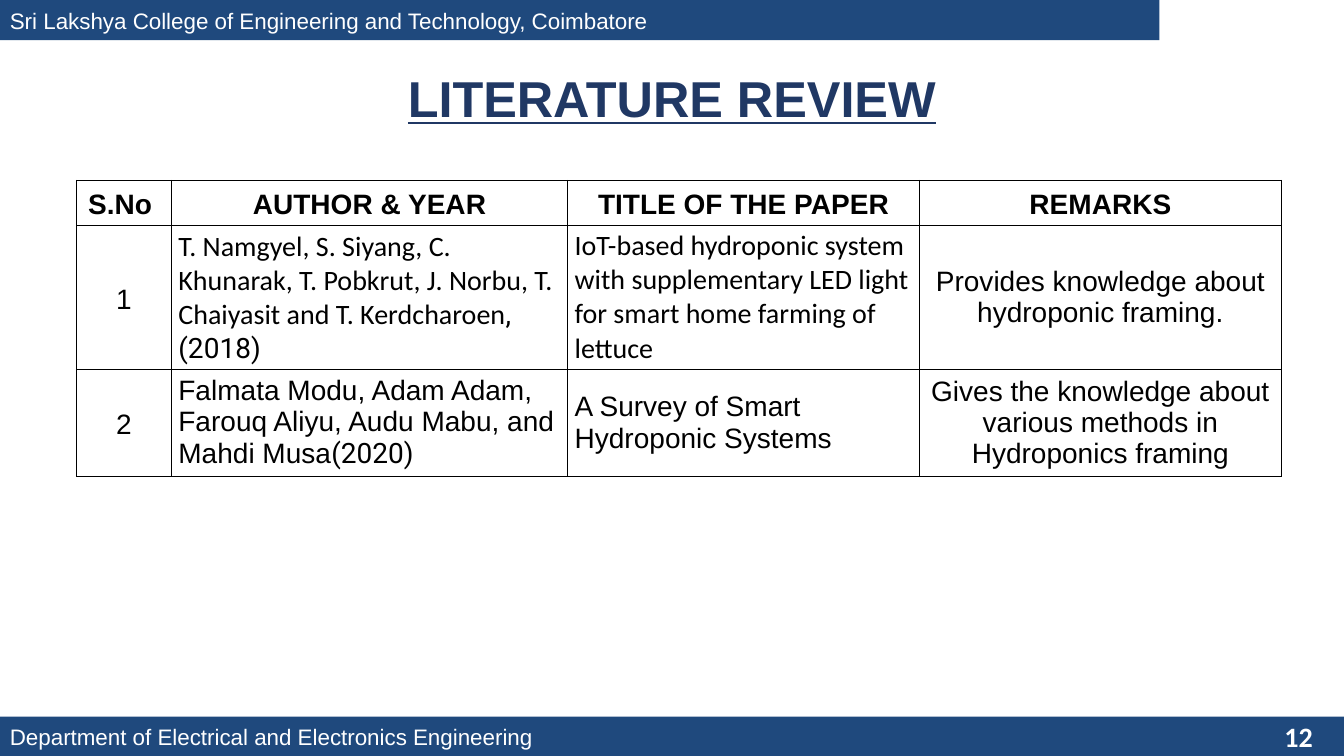
"""Build the literature review slide with its header and footer bars."""
from lxml import etree
from pptx import Presentation
from pptx.dml.color import RGBColor
from pptx.enum.shapes import MSO_SHAPE
from pptx.enum.text import MSO_ANCHOR, PP_ALIGN
from pptx.oxml.ns import qn
from pptx.util import Inches, Pt

RECTANGLE = MSO_SHAPE.RECTANGLE
MIDDLE = MSO_ANCHOR.MIDDLE
LEFT, CENTER, RIGHT = PP_ALIGN.LEFT, PP_ALIGN.CENTER, PP_ALIGN.RIGHT
COLORS = {"bar": "1F497D", "title": "203864", "white": "FFFFFF", "black": "000000"}


def write_text(text_frame, runs, color, alignment, line_spacing=1.0, **font_format):
    """Fill the first paragraph with (text, font name) runs."""
    text_frame.word_wrap = True
    paragraph = text_frame.paragraphs[0]
    paragraph.alignment = alignment
    paragraph.line_spacing = line_spacing
    for text, font_name in runs:
        run = paragraph.add_run()
        run.text = text
        run.font.name = font_name
        run.font.color.rgb = RGBColor.from_string(COLORS[color])
        for attribute, value in font_format.items():
            setattr(run.font, attribute, value)


def add_cell_borders(cell):
    """Draw a one-point black line on each side of a cell."""
    properties = cell._tc.get_or_add_tcPr()
    for position, side in enumerate(("a:lnL", "a:lnR", "a:lnT", "a:lnB")):
        line = etree.Element(qn(side), w=str(Pt(1)))
        fill = etree.SubElement(line, qn("a:solidFill"))
        etree.SubElement(fill, qn("a:srgbClr"), val=COLORS["black"])
        properties.insert(position, line)


presentation = Presentation()
presentation.slide_width = Inches(13.33)
presentation.slide_height = Inches(7.5)
slide = presentation.slides.add_slide(presentation.slide_layouts[5])

bars = [
    (7.11, 13.33, 0.39, "Department of Electrical and Electronics Engineering"),
    (0, 11.5, 0.4, "Sri Lakshya College of Engineering and Technology, Coimbatore"),
]
for top, width, height, text in bars:
    bar = slide.shapes.add_shape(
        RECTANGLE, 0, Inches(top), Inches(width), Inches(height))
    bar.shadow.inherit = False
    bar.fill.solid()
    bar.fill.fore_color.rgb = RGBColor.from_string(COLORS["bar"])
    bar.line.fill.background()
    bar.text_frame.vertical_anchor = MIDDLE
    write_text(bar.text_frame, [(text, "Arial")], "white", LEFT, size=Pt(16))

page_number = slide.shapes.add_textbox(
    Inches(10.12), Inches(7.1), Inches(3), Inches(0.4))
page_number.text_frame.vertical_anchor = MIDDLE
write_text(page_number.text_frame, [("12", "Calibri")], "white", RIGHT,
           size=Pt(20), bold=True)

title = slide.shapes.title
title.left, title.top = Inches(2.08), Inches(0.59)
title.width, title.height = Inches(9.17), Inches(0.83)
title.fill.solid()
title.fill.fore_color.rgb = RGBColor.from_string(COLORS["white"])
title.line.color.rgb = RGBColor.from_string(COLORS["white"])
title.line.width = Pt(0.75)
title.text_frame.vertical_anchor = MIDDLE
write_text(title.text_frame, [("LITERATURE REVIEW", "Arial")], "title", CENTER, 0.9,
           size=Pt(36), bold=True, underline=True)

column_widths = [0.94, 3.93, 3.49, 3.59]
row_heights = [0.43, 1.43, 1.01]
column_alignments = [CENTER, LEFT, LEFT, CENTER]
review_rows = [
    [[("S.No ", "Arial")], [("AUTHOR & YEAR", "Arial")],
     [("TITLE OF THE PAPER", "Arial")], [("REMARKS", "Arial")]],
    [[("1", "Arial")],
     [("T. Namgyel, S. Siyang, C. Khunarak, T. Pobkrut, J. Norbu, "
       "T. Chaiyasit and T. Kerdcharoen", "Calibri"), (", (2018)", "Roboto")],
     [("IoT-based hydroponic system with supplementary LED light "
       "for smart home farming of lettuce", "Calibri")],
     [("Provides knowledge about hydroponic framing.", "Arial")]],
    [[("2", "Arial")],
     [("Falmata Modu, Adam Adam, Farouq Aliyu, Audu Mabu, and Mahdi Musa", "Arial"),
      ("(2020)", "Roboto")],
     [("A Survey of Smart Hydroponic Systems", "Arial")],
     [("Gives the knowledge about various methods in Hydroponics framing", "Arial")]],
]
cell_format = {
    "vertical_anchor": MIDDLE,
    "margin_left": Inches(0.07), "margin_right": Inches(0.07),
    "margin_top": Inches(0.03), "margin_bottom": Inches(0.03),
}
table = slide.shapes.add_table(
    len(row_heights), len(column_widths), Inches(0.76), Inches(1.79),
    Inches(sum(column_widths)), Inches(sum(row_heights))).table
table.horz_banding = False
for column, width in zip(table.columns, column_widths):
    column.width = Inches(width)
for row_index, (height, review_row) in enumerate(zip(row_heights, review_rows)):
    table.rows[row_index].height = Inches(height)
    is_header = row_index == 0
    for column_index, runs in enumerate(review_row):
        cell = table.cell(row_index, column_index)
        for attribute, value in cell_format.items():
            setattr(cell, attribute, value)
        cell.fill.background()
        add_cell_borders(cell)
        alignment = CENTER if is_header else column_alignments[column_index]
        line_spacing = 1.15 if is_header or column_index == 0 else 1.0
        write_text(cell.text_frame, runs, "black", alignment, line_spacing,
                   size=Pt(20), bold=is_header)

presentation.save("out.pptx")
